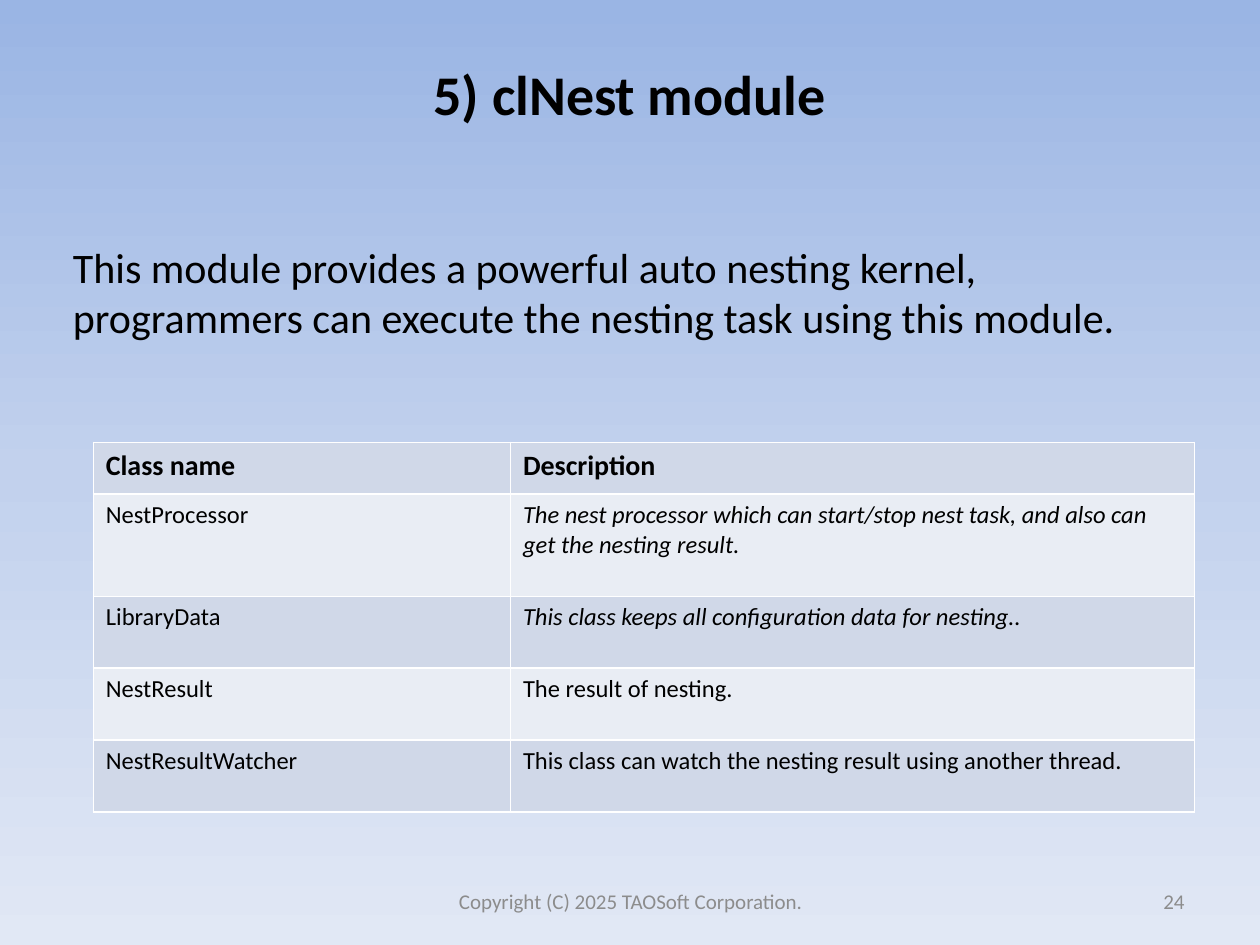
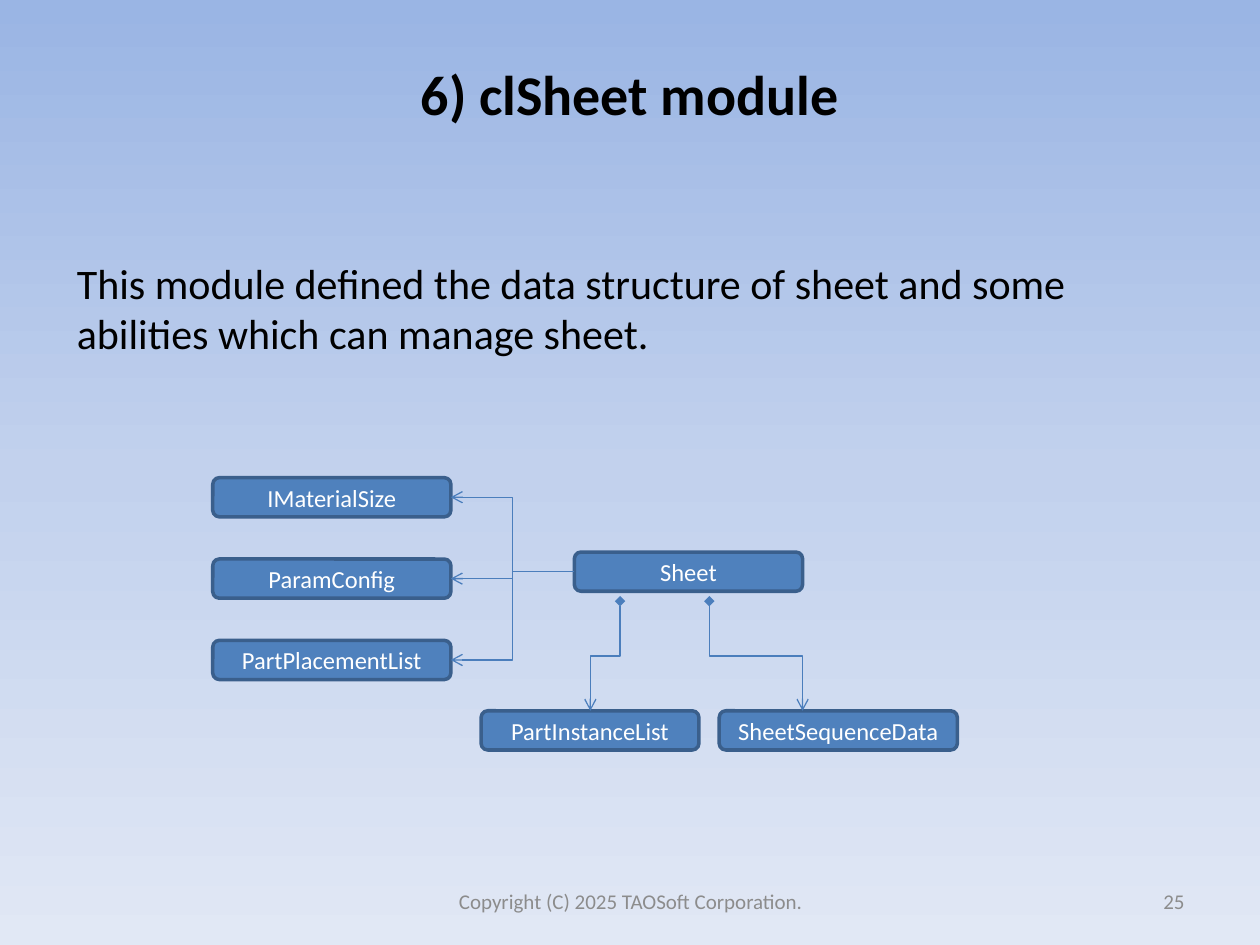
"""Build the clNest and clSheet module slides."""
from copy import deepcopy

from lxml.etree import SubElement
from pptx import Presentation
from pptx.dml.color import RGBColor
from pptx.enum.shapes import MSO_CONNECTOR, MSO_SHAPE
from pptx.enum.text import MSO_ANCHOR, MSO_AUTO_SIZE, PP_ALIGN
from pptx.oxml.ns import qn
from pptx.util import Cm, Pt

FONT = "Calibri"
BLACK = RGBColor(0x00, 0x00, 0x00)
WHITE = RGBColor(0xFF, 0xFF, 0xFF)
GREY = RGBColor(0x8C, 0x8C, 0x8C)
BLUE = RGBColor(0x4F, 0x81, 0xBD)
BOX_EDGE = RGBColor(0x3A, 0x5F, 0x8C)
LINK_BLUE = RGBColor(0x4B, 0x7E, 0xBC)
ROW_DARK = RGBColor(0xD0, 0xD8, 0xE8)
ROW_LIGHT = RGBColor(0xE9, 0xED, 0xF4)
SKY = [RGBColor(0x9A, 0xB5, 0xE4), RGBColor(0xC2, 0xD1, 0xED), RGBColor(0xE1, 0xE8, 0xF5)]
COPYRIGHT = "Copyright (C) 2025 TAOSoft Corporation."


def write(tf, text, size=14, color=BLACK, bold=False, italic=False,
          align=PP_ALIGN.LEFT, anchor=None):
    tf.word_wrap = True
    if anchor is not None:
        tf.vertical_anchor = anchor
    p = tf.paragraphs[0]
    p.alignment = align
    r = p.add_run()
    r.text = text
    r.font.name, r.font.size = FONT, Pt(size)
    r.font.bold, r.font.italic = bold, italic
    r.font.color.rgb = color


def link(s, x1, y1, x2, y2, vertical=False):
    if vertical:
        w, h = y2 - y1, abs(x2 - x1)
        left, top = (x1 + x2 - w) / 2, (y1 + y2 - h) / 2
        c = s.shapes.add_connector(MSO_CONNECTOR.ELBOW, Cm(left), Cm(top), Cm(left + w), Cm(top + h))
        xfrm = c.element.spPr.find(qn("a:xfrm"))
        xfrm.set("rot", str((90 if x2 < x1 else 270) * 60000))
        if x2 > x1:
            xfrm.set("flipH", "1")
    else:
        c = s.shapes.add_connector(MSO_CONNECTOR.ELBOW, Cm(x1), Cm(y1), Cm(x2), Cm(y2))
    c.line.color.rgb = LINK_BLUE
    c.line.width = Pt(0.75)
    ln = c.element.spPr.find(qn("a:ln"))
    if vertical:
        SubElement(ln, qn("a:headEnd"), type="diamond")
    SubElement(ln, qn("a:tailEnd"), type="arrow")
    SubElement(c.element.spPr, qn("a:effectLst"))


prs = Presentation()
prs.slide_width, prs.slide_height = Cm(25.4), Cm(19.05)

master = prs.slide_master
fill = master.background.fill
fill.gradient()
fill.gradient_angle = 270
gs_list = master.element.xpath(".//p:bg//a:gsLst")[0]
gs_list.insert(1, deepcopy(gs_list[0]))
for i, (stop, color) in enumerate(zip(fill.gradient_stops, SKY)):
    stop.position = i / 2
    stop.color.rgb = color

MODULES = [
    ("5) clNest module", 24, 1.22, 4.11, 4.19,
     "This module provides a powerful auto nesting kernel, "
     "programmers can execute the nesting task using this module."),
    ("6) clSheet module", 25, 1.3, 4.72, 3.61,
     "This module defined the data structure of sheet and some "
     "abilities which can manage sheet."),
]
slides = []
for title, number, left, top, height, intro in MODULES:
    s = prs.slides.add_slide(prs.slide_layouts[5])
    slides.append(s)
    sp = s.shapes.title
    sp.left, sp.top, sp.width, sp.height = Cm(1.27), Cm(0.76), Cm(22.86), Cm(3.18)
    sp.text_frame.auto_size = MSO_AUTO_SIZE.NONE
    sp.text_frame.margin_bottom = Cm(1.07)
    write(sp.text_frame, title, size=32, bold=True, align=PP_ALIGN.CENTER, anchor=MSO_ANCHOR.MIDDLE)

    for text, x, w, align in [(COPYRIGHT, 8.69, 8.05, PP_ALIGN.CENTER),
                              (str(number), 18.2, 5.93, PP_ALIGN.RIGHT)]:
        sp = s.shapes.add_textbox(Cm(x), Cm(17.65), Cm(w), Cm(1.02))
        write(sp.text_frame, text, size=12, color=GREY, align=align, anchor=MSO_ANCHOR.MIDDLE)

    sp = s.shapes.add_textbox(Cm(left), Cm(top), Cm(22.86), Cm(height))
    sp.text_frame.margin_bottom = Cm(0.77)
    write(sp.text_frame, intro, size=24, anchor=MSO_ANCHOR.MIDDLE)

nest, sheet = slides

CLASSES = [
    ("Class name", "Description", 1.04, False),
    ("NestProcessor", "The nest processor which can start/stop nest task, "
     "and also can get the nesting result.", 2.06, True),
    ("LibraryData", "This class keeps all configuration data for nesting..", 1.45, True),
    ("NestResult", "The result of nesting.", 1.45, False),
    ("NestResultWatcher", "This class can watch the nesting result using another thread.", 1.45, False),
]
table_height = sum(row[2] for row in CLASSES)
table = nest.shapes.add_table(len(CLASSES), 2, Cm(1.88), Cm(8.92), Cm(22.2), Cm(table_height)).table
table.columns[0].width, table.columns[1].width = Cm(8.41), Cm(13.79)
for i, (name, description, height, italic) in enumerate(CLASSES):
    table.rows[i].height = Cm(height)
    for j, text in enumerate((name, description)):
        cell = table.cell(i, j)
        tc_pr = cell._tc.get_or_add_tcPr()
        for side in "LRTB":
            ln = SubElement(tc_pr, qn(f"a:ln{side}"), w=str(Pt(1)))
            SubElement(SubElement(ln, qn("a:solidFill")), qn("a:srgbClr"), val=str(WHITE))
        cell.fill.solid()
        cell.fill.fore_color.rgb = ROW_LIGHT if i % 2 else ROW_DARK
        write(cell.text_frame, text, size=14 if i else 16, bold=i == 0, italic=italic and j == 1)

LEFT_X, BOX_W, BOX_H = 4.29, 4.8, 0.79
SHEET_X, SHEET_Y, PART_Y = 11.58, 11.13, 14.33
left_boxes = [(name, LEFT_X, 9.63 + 1.64 * i, BOX_W)
              for i, name in enumerate(["IMaterialSize", "ParamConfig", "PartPlacementList"])]
boxes = left_boxes + [
    ("Sheet", SHEET_X, SHEET_Y, 4.6),
    ("PartInstanceList", 9.7, PART_Y, 4.39),
    ("SheetSequenceData", 14.5, PART_Y, BOX_W),
]
for name, x, y, w in boxes:
    sp = sheet.shapes.add_shape(MSO_SHAPE.ROUNDED_RECTANGLE, Cm(x), Cm(y), Cm(w), Cm(BOX_H))
    sp.shadow.inherit = False
    sp.fill.solid()
    sp.fill.fore_color.rgb = BLUE
    sp.line.color.rgb = BOX_EDGE
    sp.line.width = Pt(2)
    write(sp.text_frame, name, color=WHITE, align=PP_ALIGN.CENTER, anchor=MSO_ANCHOR.MIDDLE)

for name, x, y, w in left_boxes:
    link(sheet, SHEET_X, SHEET_Y + BOX_H / 2, x + w, y + BOX_H / 2)
for x1, x2 in [(12.5, 11.9), (14.3, 16.18)]:
    link(sheet, x1, 12.12, x2, PART_Y, vertical=True)

prs.save("out.pptx")
